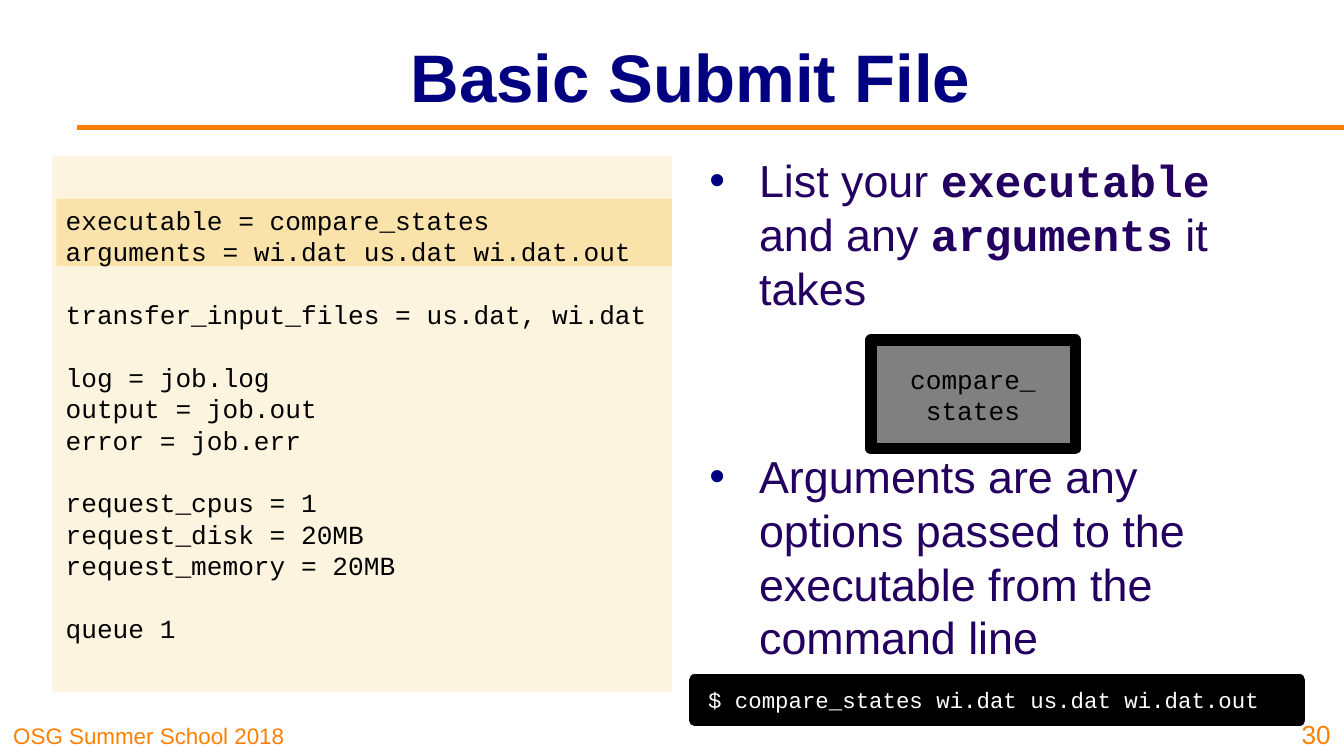
from lxml.etree import SubElement
from pptx import Presentation
from pptx.dml.color import RGBColor
from pptx.enum.shapes import MSO_CONNECTOR, MSO_SHAPE
from pptx.enum.text import MSO_ANCHOR, PP_ALIGN
from pptx.oxml.ns import qn
from pptx.util import Inches, Pt

NAVY = RGBColor(0x00, 0x00, 0x80)
PURPLE = RGBColor(0x23, 0x00, 0x5F)
ORANGE = RGBColor(0xFF, 0x80, 0x00)
CREAM = RGBColor(0xFD, 0xF4, 0xDF)
HIGHLIGHT = RGBColor(0xFA, 0xE3, 0xAA)
GRAY = RGBColor(0x80, 0x80, 0x80)
BLACK = RGBColor(0x00, 0x00, 0x00)
WHITE = RGBColor(0xFF, 0xFF, 0xFF)

SANS, MONO = "Arial", "Courier New"
LINE_FACTOR = 1.2
BULLET_GAP = 72
BULLET_INDENT = 0.37

TITLE = "Basic Submit File"
FOOTER = "OSG Summer School 2018"
PAGE_NUMBER = "30"
PROGRAM = ["compare_", "states"]
COMMAND = "$ compare_states wi.dat us.dat wi.dat.out"
CODE_GROUPS = [
    ["executable = compare_states", "arguments = wi.dat us.dat wi.dat.out"],
    ["transfer_input_files = us.dat, wi.dat"],
    ["log = job.log", "output = job.out", "error = job.err"],
    ["request_cpus = 1", "request_disk = 20MB", "request_memory = 20MB"],
    ["queue 1"],
]
PLAIN = {"name": SANS, "bold": False}
KEYWORD = {"name": MONO, "bold": True}
BULLETS = [
    [("List your ", PLAIN), ("executable ", KEYWORD), ("and any ", PLAIN),
     ("arguments", KEYWORD), (" it takes", PLAIN)],
    [("Arguments are any options passed to the executable from the command line", PLAIN)],
]

TITLE_STYLE = {"name": SANS, "size": 36, "bold": True, "color": NAVY}
FOOTER_STYLE = {"name": SANS, "size": 12, "color": ORANGE}
NUMBER_STYLE = {"name": SANS, "size": 14, "color": ORANGE}
CODE_STYLE = {"name": MONO, "size": 14, "color": BLACK}
COMMAND_STYLE = {"name": MONO, "size": 12, "color": WHITE}
BULLET_STYLE = {"size": 24, "color": PURPLE}


def add_span(para, text, style):
    span = para.add_run()
    span.text = text
    for key, value in style.items():
        if key == "color":
            span.font.color.rgb = value
        else:
            setattr(span.font, key, Pt(value) if key == "size" else value)


def add_bullet(para):
    properties = para._p.get_or_add_pPr()
    properties.set("marL", str(Inches(BULLET_INDENT)))
    properties.set("indent", str(-Inches(BULLET_INDENT)))
    color = SubElement(properties, qn("a:buClr"))
    SubElement(color, qn("a:srgbClr")).set("val", str(NAVY))
    SubElement(properties, qn("a:buFont")).set("typeface", SANS)
    SubElement(properties, qn("a:buChar")).set("char", "•")


def write_lines(box, lines, style, anchor=MSO_ANCHOR.TOP, align=PP_ALIGN.LEFT):
    frame = box.text_frame
    frame.word_wrap = True
    frame.vertical_anchor = anchor
    for index, (spans, gap, bulleted) in enumerate(lines):
        para = frame.add_paragraph() if index else frame.paragraphs[0]
        if bulleted:
            add_bullet(para)
        para.alignment = align
        if len(lines) > 1:
            para.line_spacing = Pt(style["size"] * LINE_FACTOR)
        if index and gap:
            para.space_before = Pt(gap)
        for text, extra in spans:
            add_span(para, text, {**style, **extra})


def plain_lines(*texts):
    return [([(text, {})], 0, False) for text in texts]


def add_box(page, *place):
    return page.shapes.add_textbox(*map(Inches, place))


def add_panel(page, place, fill, border=None):
    panel = page.shapes.add_shape(MSO_SHAPE.RECTANGLE, *map(Inches, place))
    panel.shadow.inherit = False
    panel.fill.solid()
    panel.fill.fore_color.rgb = fill
    if border is None:
        panel.line.fill.background()
    else:
        panel.line.color.rgb = border
        panel.line.width = Pt(6)
    return panel


def main():
    deck = Presentation()
    deck.slide_width = Inches(10)
    deck.slide_height = deck.slide_width * 9 // 16
    page = deck.slides.add_slide(deck.slide_layouts[6])

    write_lines(add_box(page, 0, 5.31, 2.48, 0.31), plain_lines(FOOTER),
                FOOTER_STYLE, MSO_ANCHOR.BOTTOM)
    rule = page.shapes.add_connector(
        MSO_CONNECTOR.STRAIGHT, *map(Inches, (0.57, 0.95, 10, 0.95)))
    rule.line.color.rgb = ORANGE
    rule.line.width = Pt(3)
    SubElement(rule._element.spPr, qn("a:effectLst"))

    add_panel(page, (0.39, 1.16, 4.61, 3.99), CREAM)
    add_panel(page, (0.42, 1.48, 4.58, 0.5), HIGHLIGHT)
    group_gap = CODE_STYLE["size"] * LINE_FACTOR
    code_lines = [([(text, {})], 0 if row else group_gap, False)
                  for group in CODE_GROUPS for row, text in enumerate(group)]
    write_lines(add_box(page, 0.39, 1.16, 4.69, 3.99), code_lines,
                CODE_STYLE, MSO_ANCHOR.MIDDLE)

    write_lines(add_box(page, 1.34, 0.09, 7.6, 0.94), plain_lines(TITLE),
                TITLE_STYLE, MSO_ANCHOR.MIDDLE, PP_ALIGN.CENTER)
    write_lines(add_box(page, 5.18, 1.09, 4.17, 3.84),
                [(spans, BULLET_GAP, True) for spans in BULLETS], BULLET_STYLE)

    program = add_panel(page, (6.48, 2.53, 1.52, 0.81), GRAY, BLACK)
    write_lines(program, plain_lines(*PROGRAM), CODE_STYLE,
                MSO_ANCHOR.MIDDLE, PP_ALIGN.CENTER)
    command = add_panel(page, (5.17, 5.06, 4.5, 0.3), BLACK, BLACK)
    write_lines(command, plain_lines(COMMAND), COMMAND_STYLE)
    write_lines(add_box(page, 9.54, 5.25, 0.46, 0.38), plain_lines(PAGE_NUMBER),
                NUMBER_STYLE, MSO_ANCHOR.BOTTOM, PP_ALIGN.RIGHT)

    deck.save("out.pptx")


if __name__ == "__main__":
    main()
